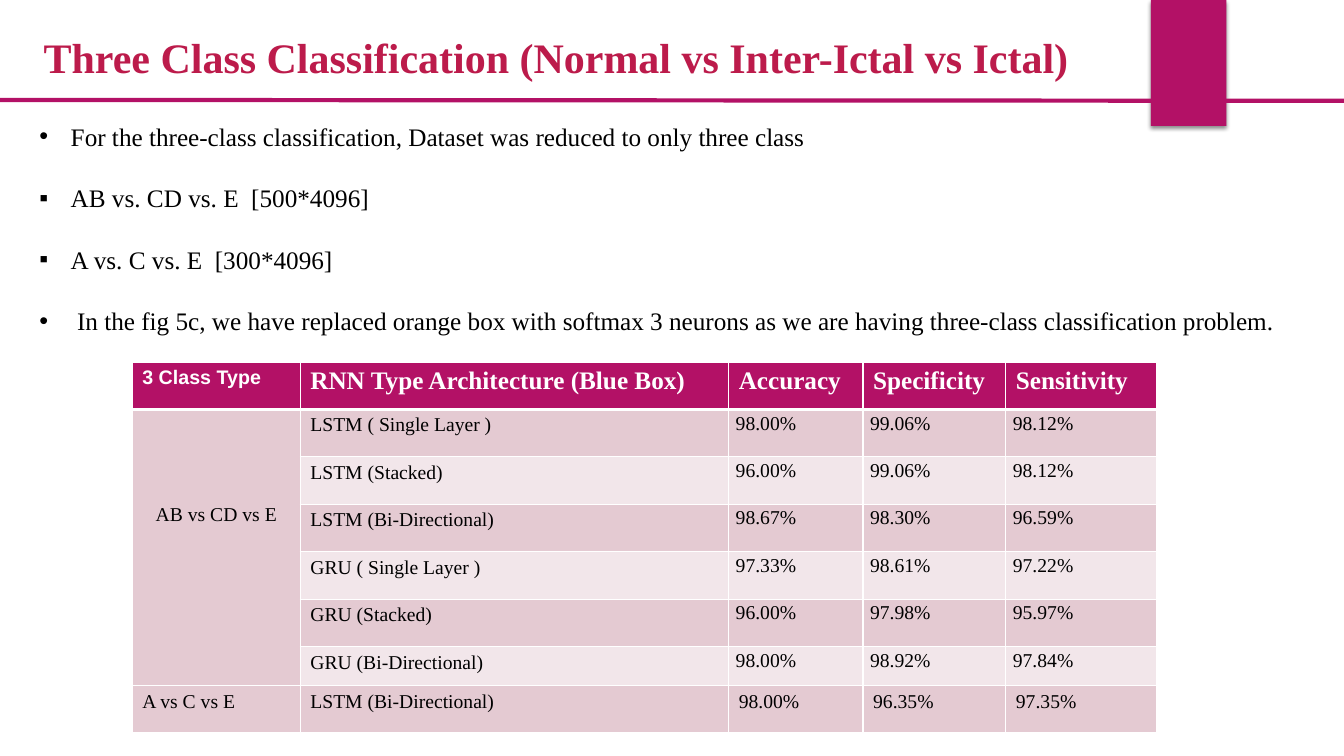
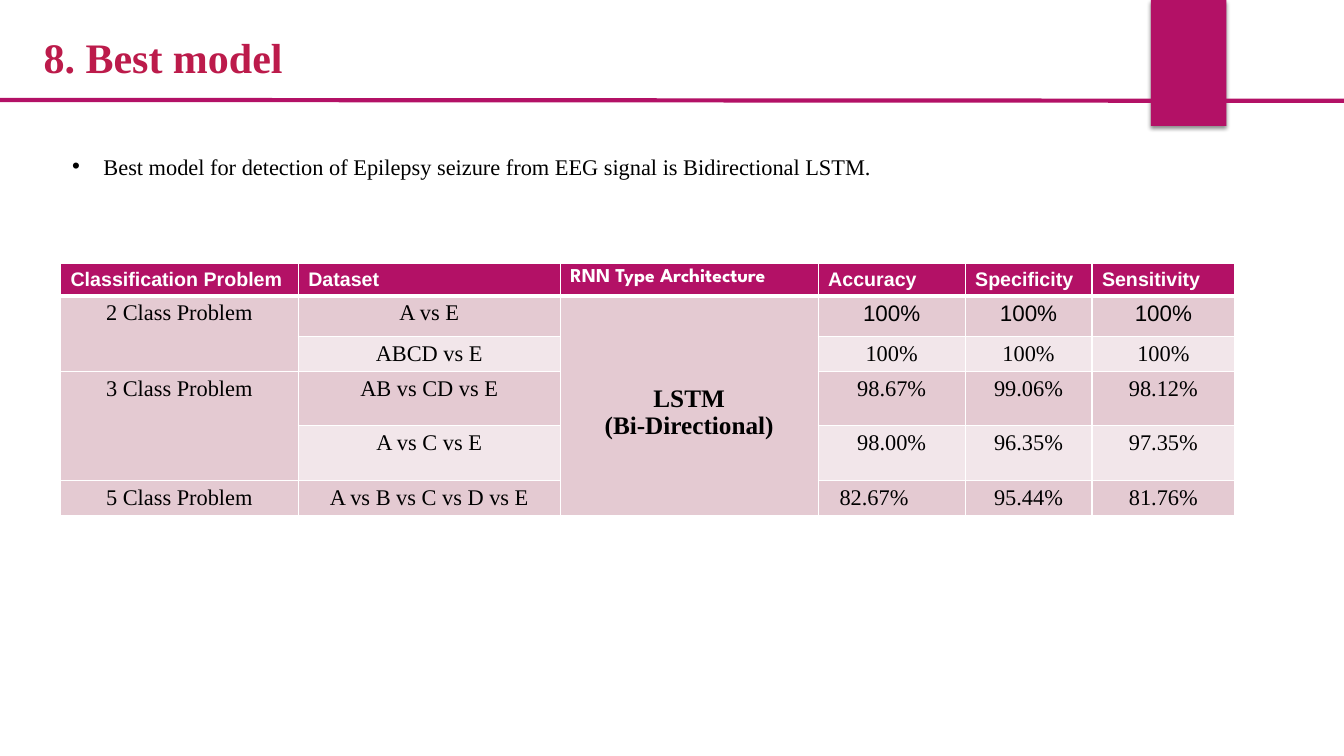
from dataclasses import dataclass

from lxml import etree
from pptx import Presentation
from pptx import util as u
from pptx.dml.color import RGBColor
from pptx.enum import shapes, text
from pptx.oxml import ns

MAGENTA = RGBColor(0xB3, 0x11, 0x66)
CRIMSON = RGBColor(0xBC, 0x1B, 0x4B)
ROSE = RGBColor(0xE4, 0xCA, 0xD2)
BLUSH = RGBColor(0xF2, 0xE6, 0xEA)
WHITE = RGBColor(0xFF, 0xFF, 0xFF)
BLACK = RGBColor(0, 0, 0)

SERIF, SANS, DISPLAY = "Times New Roman", "Arial", "League Spartan"
WIDTH, HEIGHT = u.Inches(13.33), u.Inches(7.5)
COLUMNS, ROWS = 160, 90
HANG = u.Inches(0.31)
LEFT, CENTER, JUSTIFY = (text.PP_ALIGN.LEFT, text.PP_ALIGN.CENTER,
                         text.PP_ALIGN.JUSTIFY)


def across(count):
    return round(WIDTH * count / COLUMNS)


def down(count):
    return round(HEIGHT * count / ROWS)


@dataclass
class Box:
    left: float
    top: float
    width: float
    height: float

    def place(self):
        return (across(self.left), down(self.top),
                across(self.width), down(self.height))


TITLE = Box(4, 3.1, 130, 7.3)
TAB = Box(137, 0, 9, 15)
RULE = Box(0, 11.9, COLUMNS, 0.1)


def apply(target, values):
    for name, value in values.items():
        setattr(target, name, value)


def style_text(para, size, face=SERIF, color=BLACK, bold=False, **layout):
    apply(para, layout)
    for span in para.runs:
        apply(span.font, {"size": u.Pt(size), "name": face, "bold": bold})
        span.font.color.rgb = color


def add_node(parent, tag, **attributes):
    node = etree.SubElement(parent, ns.qn(tag))
    for name, value in attributes.items():
        node.set(name, str(value))
    return node


def fit(holder, box, anchor):
    places = dict(zip(("left", "top", "width", "height"), box.place()))
    apply(holder, places)
    apply(holder.text_frame, {"word_wrap": True, "vertical_anchor": anchor,
                              "auto_size": text.MSO_AUTO_SIZE.NONE})


def add_frame(page):
    tab = page.shapes.add_shape(shapes.MSO_SHAPE.RECTANGLE, *TAB.place())
    tab.shadow.inherit = False
    tab.fill.solid()
    tab.fill.fore_color.rgb = MAGENTA
    tab.line.fill.background()
    effects = tab._element.spPr.find(ns.qn("a:effectLst"))
    shadow = add_node(effects, "a:outerShdw", blurRad=u.Pt(3), dist=u.Pt(2),
                      dir=90 * 60000, rotWithShape=0)
    add_node(add_node(shadow, "a:srgbClr", val=BLACK), "a:alpha", val=45000)

    left, top, width, height = RULE.place()
    rule = page.shapes.add_connector(shapes.MSO_CONNECTOR.STRAIGHT,
                                     left, top, left + width, top + height)
    rule.line.color.rgb = MAGENTA
    rule.line.width = u.Pt(3)
    add_node(rule._element.spPr, "a:effectLst")


def add_page(deck, title):
    page = deck.slides.add_slide(deck.slide_layouts[1])
    holder = page.shapes.title
    fit(holder, TITLE, text.MSO_ANCHOR.BOTTOM)
    holder.text_frame.text = title
    style_text(holder.text_frame.paragraphs[0], 30, color=CRIMSON, bold=True,
               alignment=LEFT)
    add_frame(page)
    return page


def add_bullets(page, box, items, size, alignment):
    holder = page.placeholders[1]
    fit(holder, box, text.MSO_ANCHOR.TOP)
    frame = holder.text_frame
    frame.text = "\n".join(words for _, words in items)
    for index, (mark, _) in enumerate(items):
        para = frame.paragraphs[index]
        props = para._p.get_or_add_pPr()
        props.set("marL", str(HANG))
        props.set("indent", str(-HANG))
        add_node(add_node(props, "a:buClr"), "a:srgbClr", val=BLACK)
        add_node(props, "a:buFont", typeface=SANS)
        add_node(props, "a:buChar", char=mark)
        style_text(para, size, alignment=alignment,
                   space_before=u.Pt(22.4 if index else 0))


def add_borders(cell, thick_side):
    props = cell._tc.get_or_add_tcPr()
    for index, side in enumerate("LRTB"):
        width = u.Pt(3 if side == thick_side else 1)
        line = add_node(props, "a:ln" + side, w=width)
        add_node(add_node(line, "a:solidFill"), "a:srgbClr", val=WHITE)
        props.insert(index, line)


def add_table(page, left, top, widths, heights, rows, merges, format_cell):
    box = Box(left, top, sum(widths), sum(heights))
    table = page.shapes.add_table(len(rows), len(widths), *box.place()).table
    apply(table, {"first_row": False, "horz_banding": False})
    for column, width in zip(table.columns, widths):
        column.width = across(width)
    for row, height in zip(table.rows, heights):
        row.height = down(height)
    for r, row in enumerate(rows):
        for c, words in enumerate(row):
            cell = table.cell(r, c)
            cell.fill.solid()
            cell.fill.fore_color.rgb = (ROSE if r % 2 else BLUSH) if r else MAGENTA
            add_borders(cell, {0: "B", 1: "T"}.get(r))
            cell.text = words
            look, margins = format_cell(r, c)
            apply(cell, margins)
            for para in cell.text_frame.paragraphs:
                style_text(para, **look)
    for first, last, column in merges:
        table.cell(first, column).merge(table.cell(last, column))


def format_scores(r, c):
    if r == 0:
        look = {"size": 18 if c else 14, "face": SERIF if c else SANS,
                "color": WHITE, "bold": True}
        return look, {}
    if c == 0 and r == 1:
        return {"size": 14, "alignment": CENTER}, {"margin_top": u.Inches(0.94)}
    if c > 1 and r < 7:
        margins = {"margin_left": u.Inches(0.07), "margin_right": u.Inches(0.07),
                   "margin_top": 0, "margin_bottom": 0}
        return {"size": 14, "line_spacing": 1.15}, margins
    return {"size": 14}, {}


def format_summary(r, c):
    if r == 0:
        return {"size": 14, "face": DISPLAY if c == 2 else SANS,
                "color": WHITE, "bold": True}, {}
    look = {"size": 16, "alignment": CENTER}
    if c == 2:
        look.update(size=18, bold=True)
        return look, {"margin_top": u.Inches(0.88)}
    if r == 1 and c > 2:
        look["face"] = SANS
    return look, {"margin_right": u.Inches(0.45)} if (r, c) == (5, 3) else {}


def build_three_class(deck):
    page = add_page(deck, "Three Class Classification (Normal vs Inter-Ictal vs Ictal)")
    add_bullets(page, Box(3.5, 13.8, 151.2, 28), [
        ("•", "For the three-class classification, Dataset was reduced to only three class"),
        ("▪", "AB vs. CD vs. E  [500*4096]"),
        ("▪", "A vs. C vs. E  [300*4096]"),
        ("•", " In the fig 5c, we have replaced orange box with softmax 3 neurons "
              "as we are having three-class classification problem."),
    ], 18, JUSTIFY)
    rows = [
        ("3 Class Type", "RNN Type Architecture (Blue Box)",
         "Accuracy", "Specificity", "Sensitivity"),
        ("AB vs CD vs E", "LSTM ( Single Layer )", "98.00%", "99.06%", "98.12%"),
        ("", "LSTM (Stacked)", "96.00%", "99.06%", "98.12%"),
        ("", "LSTM (Bi-Directional)", "98.67%", "98.30%", "96.59%"),
        ("", "GRU ( Single Layer )", "97.33%", "98.61%", "97.22%"),
        ("", "GRU (Stacked)", "96.00%", "97.98%", "95.97%"),
        ("", "GRU (Bi-Directional)", "98.00%", "98.92%", "97.84%"),
        ("A vs C vs E", "LSTM (Bi-Directional)", "98.00%", "96.35%", "97.35%"),
    ]
    add_table(page, 15.75, 43.1, [20, 51, 16, 17, 18],
              [5.65] * 6 + [4.65, 5.65], rows, [(1, 6, 0)], format_scores)


def build_best_model(deck):
    page = add_page(deck, "8. Best model")
    add_bullets(page, Box(7.4, 17.6, 110, 4.5), [
        ("•", "Best model for detection of Epilepsy seizure from EEG signal "
              "is Bidirectional LSTM."),
    ], 16, LEFT)
    rows = [
        ("Classification Problem", "Dataset", "RNN Type Architecture",
         "Accuracy", "Specificity", "Sensitivity"),
        ("2 Class Problem", "A vs E", "LSTM\n(Bi-Directional)", "100%", "100%", "100%"),
        ("", "ABCD vs E", "", "100%", "100%", "100%"),
        ("3 Class Problem", "AB vs CD vs E", "", "98.67%", "99.06%", "98.12%"),
        ("", "A vs C vs E", "", "98.00%", "96.35%", "97.35%"),
        ("5 Class Problem", "A vs B vs C vs D vs E", "", "82.67%", "95.44%", "81.76%"),
    ]
    add_table(page, 7.2, 31.4, [28.3, 31.2, 30.7, 17.5, 15.1, 17],
              [3.8, 4.8, 4.2, 6.4, 6.6, 4.1], rows,
              [(1, 2, 0), (3, 4, 0), (1, 5, 2)], format_summary)


def main():
    deck = Presentation()
    apply(deck, {"slide_width": WIDTH, "slide_height": HEIGHT})
    build_three_class(deck)
    build_best_model(deck)
    deck.save("out.pptx")


if __name__ == "__main__":
    main()
